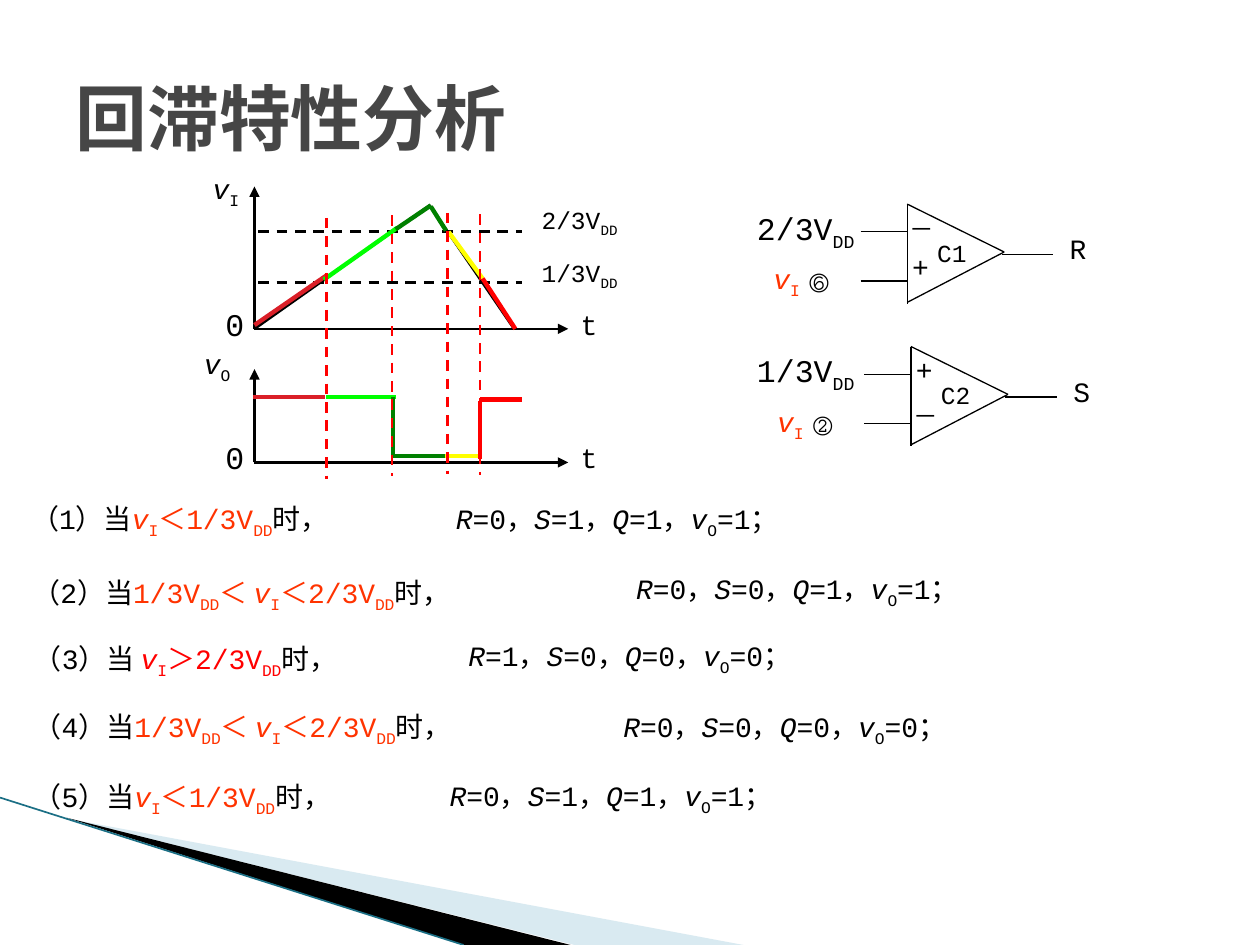
import pptx
import pptx.dml.color
import pptx.enum.dml
import pptx.enum.shapes
import pptx.enum.text
import pptx.oxml.ns
import pptx.util
from dataclasses import dataclass
from lxml import etree

Inches = pptx.util.Inches
Pt = pptx.util.Pt
qn = pptx.oxml.ns.qn


@dataclass
class Theme:
    """Colours, type sizes and line widths."""
    font: str = "Courier New"
    ink: str = "000000"
    gray: str = "464646"
    pale: str = "A0CBDC"
    teal: str = "1B6F85"
    flame: str = "FF3300"
    red: str = "FF0000"
    wine: str = "DA1F28"
    lime: str = "00FF00"
    green: str = "008000"
    gold: str = "FFFF00"
    head: float = 41
    big: float = 18
    body: float = 16
    small: float = 14
    thin: float = 0.75
    axis: float = 1.5
    bold: float = 2.5


def rgb(code):
    """Turn a hex code into a colour."""
    return pptx.dml.color.RGBColor.from_string(code)


class Sheet:
    """Holds the theme and the current slide."""

    def __init__(self, theme, slide):
        """Keep the theme and the slide."""
        self.theme, self.slide = theme, slide

    def title(self, text, x, y, w, h):
        """Fill and place the title."""
        box = self.slide.shapes.title
        box.left, box.top, box.width, box.height = map(Inches, (x, y, w, h))
        frame = box.text_frame
        frame.text = text
        frame.vertical_anchor = pptx.enum.text.MSO_ANCHOR.MIDDLE
        para = frame.paragraphs[0]
        para.alignment = pptx.enum.text.PP_ALIGN.LEFT
        font = para.runs[0].font
        font.name, font.size, font.bold = self.theme.font, Pt(self.theme.head), True
        font.color.rgb = rgb(self.theme.gray)

    def text(self, x, y, w, h, mark, size, tint=None):
        """Write text: *italic*, _subscript_, ^big^, [tinted]."""
        box = self.slide.shapes.add_textbox(*map(Inches, (x, y, w, h)))
        frame = box.text_frame
        frame.word_wrap = True
        para = frame.paragraphs[0]
        style = dict.fromkeys("*_^[", False)
        part = ""
        for sign in mark + "]":
            if sign not in "*_^[]":
                part += sign
                continue
            if part:
                self.run(para, part, size, style, tint)
                part = ""
            key = "[" if sign == "]" else sign
            style[key] = not style[key]

    def run(self, para, part, size, style, tint):
        """Add one formatted run."""
        run = para.add_run()
        run.text = part
        font = run.font
        font.name, font.italic = self.theme.font, style["*"]
        font.size = Pt(self.theme.big if style["^"] else size)
        font.color.rgb = rgb(tint if style["["] else self.theme.ink)
        if style["_"]:
            run._r.get_or_add_rPr().set("baseline", "-25000")

    def line(self, x1, y1, x2, y2, tint, width, dash=False, arrow=False):
        """Draw a straight line."""
        kind = pptx.enum.shapes.MSO_CONNECTOR.STRAIGHT
        link = self.slide.shapes.add_connector(kind, *map(Inches, (x1, y1, x2, y2)))
        link.line.color.rgb = rgb(tint)
        link.line.width = Pt(width)
        if dash:
            link.line.dash_style = pptx.enum.dml.MSO_LINE.DASH
        if arrow:
            etree.SubElement(link.line._get_or_add_ln(), qn("a:tailEnd"), type="triangle")
        etree.SubElement(link._element.spPr, qn("a:effectLst"))

    def shape(self, spots, tint, alpha=None):
        """Draw a filled outline."""
        ends = [(Inches(x), Inches(y)) for x, y in spots]
        form = self.slide.shapes.build_freeform(*ends[0])
        form.add_line_segments(ends[1:])
        item = form.convert_to_shape()
        item.shadow.inherit = False
        item.fill.solid()
        item.fill.fore_color.rgb = rgb(tint)
        item.line.fill.background()
        if alpha:
            code = item._element.spPr.find(".//" + qn("a:srgbClr"))
            etree.SubElement(code, qn("a:alpha"), val=str(alpha * 1000))

    def gate(self, x, y, name, out, ref, pin, minus, plus):
        """Draw a comparator with its labels."""
        t = self.theme
        for x1, y1, x2, y2 in [(0, 0, 0, 0.79), (0, 0, 0.77, 0.38), (0, 0.78, 0.77, 0.38),
                               (-0.37, 0.22, 0, 0.22), (-0.37, 0.61, 0, 0.61),
                               (0.75, 0.4, 1.16, 0.4)]:
            self.line(x + x1, y + y1, x + x2, y + y2, t.ink, t.thin)
        self.text(x - 0.08, y + minus, 0.51, 0.41, "－", t.small)
        self.text(x - 0.06, y + plus, 0.51, 0.41, "+", t.body)
        self.text(x + 0.14, y + 0.22, 0.6, 0.4, name, t.small)
        self.text(x + 1.19, y + 0.17, 0.51, 0.45, out, t.body)
        self.text(5.91, y - 0.01, 1.03, 0.45, ref + "_DD_", t.big)
        self.text(x - 1.16, y + 0.38, 0.82, 0.45, f"[*v*_I _]^{pin}^", t.body, t.flame)

    def axes(self, y, top, name, x, ny):
        """Draw a pair of axes with their labels."""
        t = self.theme
        self.line(2.02, y, 2.02, top, t.ink, t.axis, arrow=True)
        self.line(2.02, y, 4.51, y, t.ink, t.axis, arrow=True)
        self.text(x, ny, 0.56, 0.46, f"*v*_{name}_", t.body)
        self.text(1.69, y - 0.24, 0.4, 0.37, "0", t.big)
        self.text(4.51, y - 0.22, 0.4, 0.37, "t", t.body)


def main():
    """Build the slide."""
    deck = pptx.Presentation()
    deck.slide_width, deck.slide_height = Inches(10), Inches(7.5)
    t = Theme()
    sheet = Sheet(t, deck.slides.add_slide(deck.slide_layouts[5]))

    sheet.shape([(0.55, 6.5), (5.9, 7.5), (4.56, 7.5)], t.pale, 40)
    sheet.shape([(0.53, 6.49), (4.53, 7.5), (3.68, 7.5)], t.ink)
    sheet.line(0, 6.33, 3.68, 7.5, t.teal, 0.95)
    sheet.title("回滞特性分析", 0.5, 0.3, 9, 1.25)

    sheet.gate(7.2, 1.62, "C1", "R", "2/3V", "⑥", 0.03, 0.31)
    sheet.gate(7.23, 2.75, "C2", "S", "1/3V", "②", 0.38, 0)

    for y, ny, level in [(1.84, 1.58, "2/3V"), (2.24, 2, "1/3V")]:
        sheet.line(2.05, y, 4.14, y, t.ink, t.axis, dash=True)
        sheet.text(4.2, ny, 0.96, 0.4, level + "_DD_", t.small)
    sheet.axes(2.61, 1.48, "I", 1.59, 1.31)
    sheet.axes(3.67, 2.93, "O", 1.52, 2.7)
    sheet.line(2.02, 2.61, 3.41, 1.63, t.ink, t.axis)
    sheet.line(3.41, 1.63, 4.08, 2.61, t.ink, t.axis)

    low = "[*v*_I_＜1/3V_DD_]"
    mid = "[1/3V_DD_＜ *v*_I_＜2/3V_DD_]"
    high = " [*v*_I_＞2/3V_DD_]"
    cases = [
        (0.15, 3.93, 3.75, low, t.flame, 3.52, 3.93, "0111"),
        (0.16, 4.52, 5.06, mid, t.flame, 4.95, 4.49, "0011"),
        (0.17, 5.04, 3.68, high, t.red, 3.62, 5.02, "1000"),
        (0.17, 5.58, 5, mid, t.flame, 4.85, 5.58, "0000"),
        (0.17, 6.14, 3.73, low, t.flame, 3.47, 6.13, "0111"),
    ]
    for num, (x, y, w, test, tint, rx, ry, bits) in enumerate(cases, 1):
        sheet.text(x, y, w, 0.37, f"（{num}）当{test}时，", t.body, tint)
        r, s, q, v = bits
        sheet.text(rx, ry, 4.1, 0.37, f"*R*={r}，*S*={s}，*Q*={q}，*v*_O_={v}；", t.body)

    waves = [
        (t.wine, [(2.02, 2.58, 2.6, 2.18), (2.01, 3.15, 2.58, 3.15)]),
        (t.lime, [(2.57, 2.22, 3.15, 1.81), (2.59, 3.15, 3.14, 3.15)]),
        (t.green, [(3.14, 1.82, 3.42, 1.63), (3.42, 1.64, 3.54, 1.83),
                   (3.12, 3.62, 3.53, 3.62), (3.12, 3.15, 3.12, 3.63)]),
        (t.gold, [(3.56, 1.84, 3.83, 2.21), (3.53, 3.62, 3.82, 3.62)]),
        (t.red, [(3.83, 2.21, 4.09, 2.61), (3.81, 3.17, 4.14, 3.17),
                 (3.81, 3.18, 3.81, 3.64)]),
    ]
    for tint, parts in waves:
        for ends in parts:
            sheet.line(*ends, tint, t.bold)
    for x, y in [(3.11, 1.71), (3.81, 1.7), (2.59, 1.73), (3.55, 1.69)]:
        sheet.line(x, y, x, y + 2.07, t.red, t.axis, dash=True)

    deck.save("out.pptx")


main()
